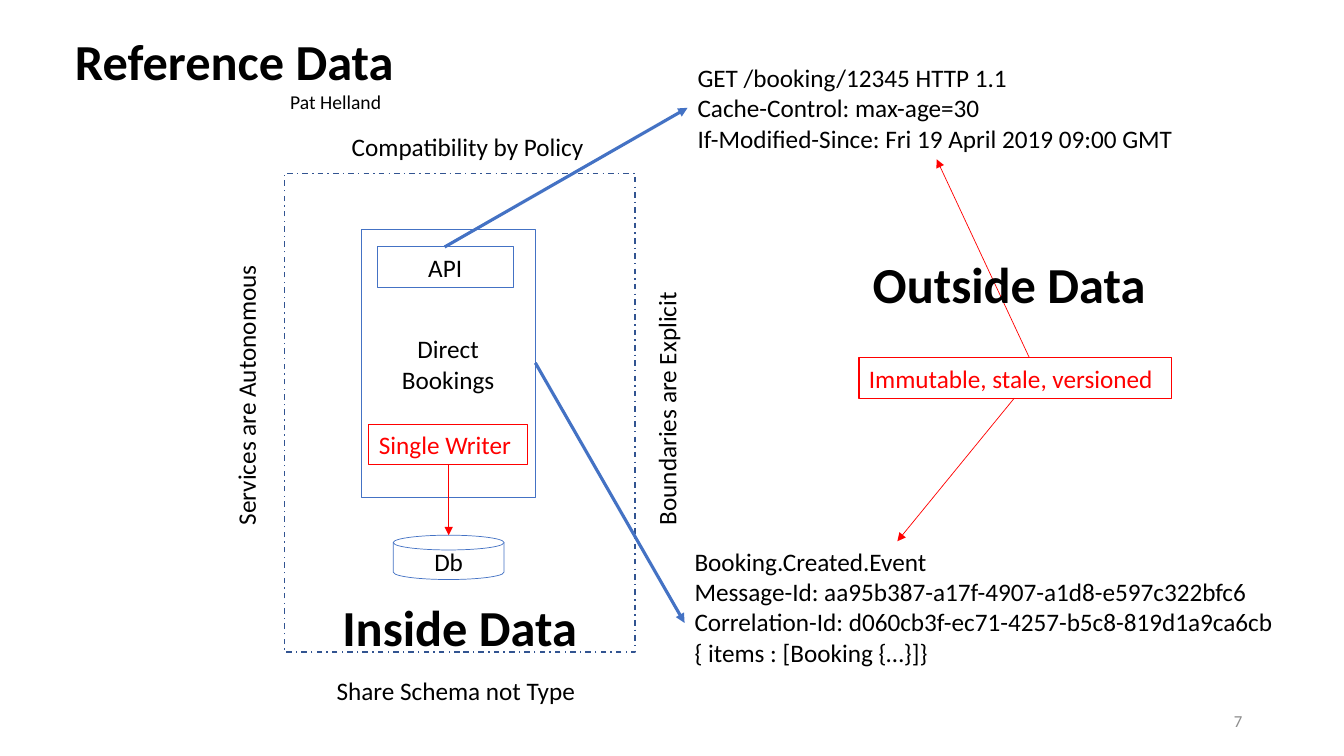
from dataclasses import dataclass
from typing import Optional

from lxml import etree
from pptx import Presentation
from pptx.dml.color import RGBColor
from pptx.enum import dml, shapes, text
from pptx.oxml.ns import qn
from pptx.util import Inches, Pt

BLACK = RGBColor(0x00, 0x00, 0x00)
BLUE = RGBColor(0x44, 0x72, 0xC4)
NAVY = RGBColor(0x32, 0x54, 0x91)
RED = RGBColor(0xFF, 0x00, 0x00)
GREY = RGBColor(0x8C, 0x8C, 0x8C)

FONT = "Calibri"
LEFT, CENTER, RIGHT = text.PP_ALIGN.LEFT, text.PP_ALIGN.CENTER, text.PP_ALIGN.RIGHT
RECTANGLE = shapes.MSO_SHAPE.RECTANGLE
DISK = shapes.MSO_SHAPE.FLOWCHART_MAGNETIC_DISK

Area = tuple[float, float, float, float]
Point = tuple[float, float]


@dataclass(frozen=True)
class Box:
    area: Area
    line_color: RGBColor
    line_width: float
    lines: tuple[str, ...] = ()
    text_color: RGBColor = BLACK
    align: text.PP_ALIGN = CENTER
    preset: shapes.MSO_SHAPE = RECTANGLE
    dash: Optional[dml.MSO_LINE] = None


@dataclass(frozen=True)
class Arrow:
    start: Point
    end: Point
    color: RGBColor
    width: float


@dataclass(frozen=True)
class Label:
    area: Area
    lines: tuple[str, ...]
    size: float = 18
    bold: bool = False
    color: RGBColor = BLACK
    align: text.PP_ALIGN = LEFT
    rotation: float = 0
    anchor: text.MSO_ANCHOR = text.MSO_ANCHOR.TOP


def heading(area: Area, words: str) -> Label:
    return Label(area, (words,), size=36, bold=True, align=CENTER)


BOXES = [
    Box((3.58, 2.28, 1.73, 2.66), BLUE, 0.5, ("Direct", "Bookings")),
    Box((3.74, 2.45, 1.35, 0.4), BLUE, 0.75, ("API",)),
    Box((3.9, 5.31, 1.1, 0.44), BLUE, 0.5, ("Db",), preset=DISK),
    Box((2.82, 1.72, 3.48, 4.75), NAVY, 1, dash=dml.MSO_LINE.DASH_DOT),
    Box((3.66, 4.21, 1.57, 0.4), RED, 0.75, ("Single Writer",), RED, LEFT),
    Box((8.52, 3.55, 3.1, 0.4), RED, 0.75, ("Immutable, stale, versioned",), RED, LEFT),
]

ARROWS = [
    Arrow((4.41, 2.45), (6.82, 1.07), BLUE, 2.25),
    Arrow((5.31, 3.6), (6.79, 6.18), BLUE, 2.25),
    Arrow((4.45, 4.61), (4.45, 5.31), RED, 0.5),
    Arrow((10.06, 3.95), (8.9, 5.37), RED, 0.5),
    Arrow((10.21, 3.55), (9.29, 1.58), RED, 0.5),
]

LABELS = [
    Label((5.29, 3.79, 2.64, 0.4), ("Boundaries are Explicit",), rotation=270),
    Label((1.01, 3.68, 2.86, 0.4), ("Services are Autonomous",), rotation=270),
    Label((3.24, 6.65, 2.64, 0.4), ("Share Schema not Type",)),
    Label((3.39, 1.25, 2.64, 0.4), ("Compatibility by Policy",)),
    Label((6.82, 0.57, 4.95, 1.01), (
        "GET /booking/12345 HTTP 1.1",
        "Cache-Control: max-age=30",
        "If-Modified-Since: Fri 19 April 2019 09:00 GMT",
    )),
    Label((6.79, 5.37, 6.54, 1.62), (
        "Booking.Created.Event",
        "Message-Id: aa95b387-a17f-4907-a1d8-e597c322bfc6",
        "Correlation-Id: d060cb3f-ec71-4257-b5c8-819d1a9ca6cb",
        "{ items : [Booking {…}]}",
    )),
    heading((3.09, 5.86, 2.94, 0.71), "Inside Data"),
    heading((8.54, 2.46, 2.94, 0.71), "Outside Data"),
    heading((0.44, 0.25, 3.77, 0.71), "Reference Data"),
    Label((2.32, 0.84, 1.56, 0.34), ("Pat Helland",), size=14, align=RIGHT),
    Label((9.42, 6.95, 3, 0.4), ("7",), size=12, color=GREY, align=RIGHT,
          anchor=text.MSO_ANCHOR.MIDDLE),
]


def write_lines(frame, lines: tuple[str, ...], size: float, color: RGBColor,
                align: text.PP_ALIGN, bold: bool = False) -> None:
    """Fill a text frame with one paragraph per line."""
    frame.word_wrap = True
    for index, line in enumerate(lines):
        paragraph = frame.add_paragraph() if index else frame.paragraphs[0]
        paragraph.alignment = align
        run = paragraph.add_run()
        run.text = line
        run.font.name = FONT
        run.font.size = Pt(size)
        run.font.bold = bold
        run.font.color.rgb = color


def draw_box(slide, box: Box) -> None:
    shape = slide.shapes.add_shape(box.preset, *map(Inches, box.area))
    shape.shadow.inherit = False
    shape.fill.background()
    shape.line.color.rgb = box.line_color
    shape.line.width = Pt(box.line_width)
    if box.dash is not None:
        shape.line.dash_style = box.dash
    shape.text_frame.vertical_anchor = text.MSO_ANCHOR.MIDDLE
    write_lines(shape.text_frame, box.lines, 18, box.text_color, box.align)


def draw_arrow(slide, arrow: Arrow) -> None:
    connector = slide.shapes.add_connector(
        shapes.MSO_CONNECTOR.STRAIGHT, *map(Inches, arrow.start + arrow.end))
    connector.line.color.rgb = arrow.color
    connector.line.width = Pt(arrow.width)
    etree.SubElement(connector.line._get_or_add_ln(), qn("a:tailEnd"), type="triangle")
    etree.SubElement(connector._element.spPr, qn("a:effectLst"))


def draw_label(slide, label: Label) -> None:
    shape = slide.shapes.add_textbox(*map(Inches, label.area))
    shape.rotation = label.rotation
    shape.text_frame.vertical_anchor = label.anchor
    write_lines(shape.text_frame, label.lines, label.size, label.color,
                label.align, label.bold)


def main() -> None:
    presentation = Presentation()
    presentation.slide_width = Inches(13.33)
    presentation.slide_height = Inches(7.5)
    slide = presentation.slides.add_slide(presentation.slide_layouts[6])
    for box in BOXES:
        draw_box(slide, box)
    for arrow in ARROWS:
        draw_arrow(slide, arrow)
    for label in LABELS:
        draw_label(slide, label)
    presentation.save("out.pptx")


if __name__ == "__main__":
    main()
